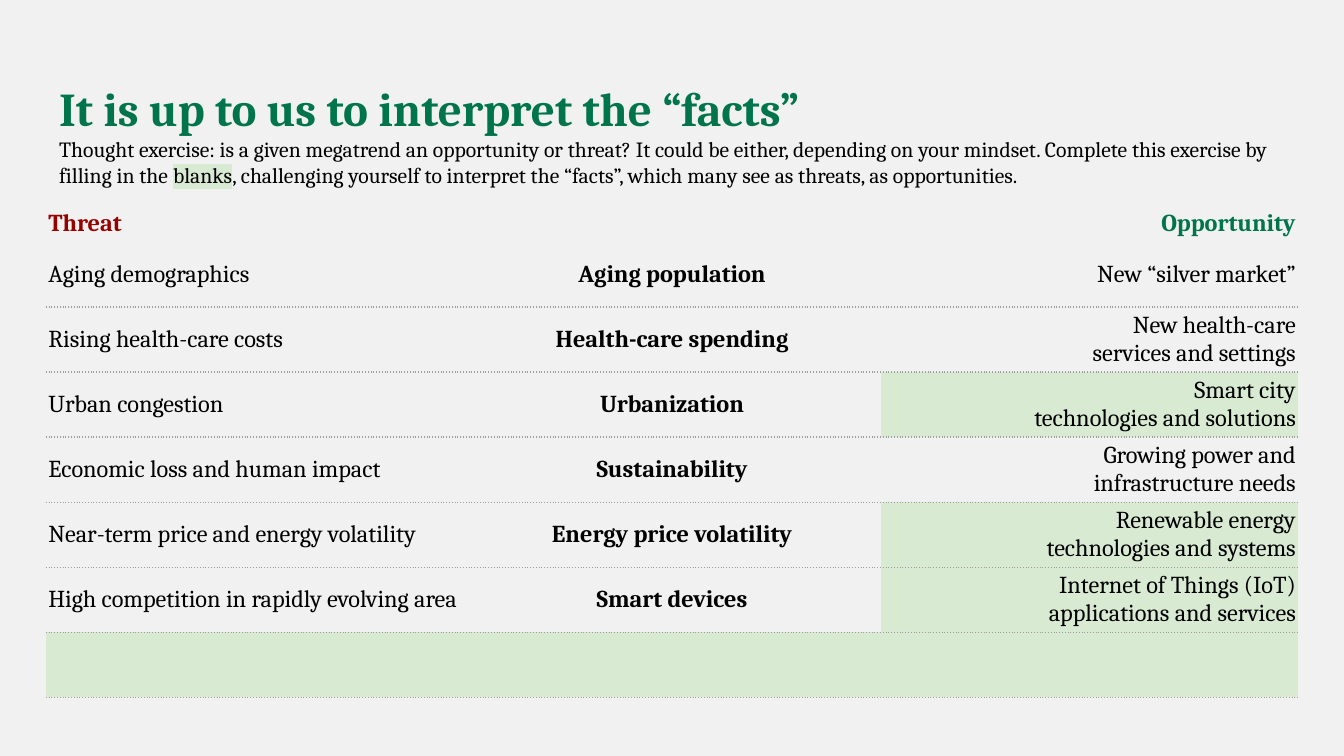
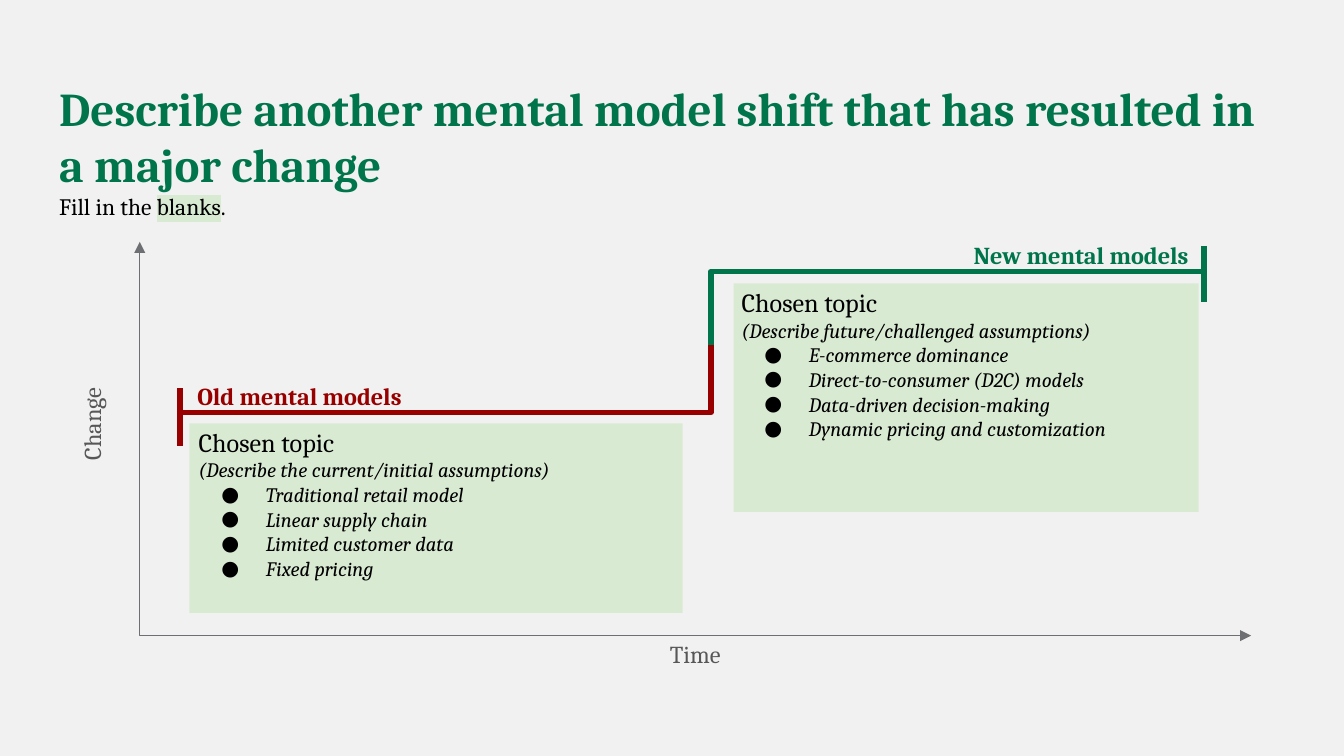
from dataclasses import dataclass

from lxml import etree
from pptx import Presentation
from pptx.dml.color import RGBColor
from pptx.enum.shapes import MSO_CONNECTOR, MSO_SHAPE
from pptx.enum.text import MSO_ANCHOR, MSO_AUTO_SIZE, PP_ALIGN
from pptx.oxml.ns import qn
from pptx.util import Inches, Pt

LEFT, CENTER, RIGHT = PP_ALIGN.LEFT, PP_ALIGN.CENTER, PP_ALIGN.RIGHT
TOP, MIDDLE = MSO_ANCHOR.TOP, MSO_ANCHOR.MIDDLE
STRAIGHT, ELBOW = MSO_CONNECTOR.STRAIGHT, MSO_CONNECTOR.ELBOW
RECTANGLE = MSO_SHAPE.RECTANGLE
NO_AUTOFIT = MSO_AUTO_SIZE.NONE
PLAIN_TABLE = "{2D5ABB26-0587-4C30-8999-92F81FD0307C}"


@dataclass(frozen=True)
class Theme:
    font: str = "Cambria"
    paper: str = "F1F1F1"
    green: str = "00754B"
    red: str = "980000"
    blank: str = "D9EAD3"
    ink: str = "000000"
    label: str = "575757"
    axis: str = "6E6F73"
    rule: str = "9E9E9E"
    title: float = 25.2
    body: int = 13
    topic: int = 14
    detail: int = 11


theme = Theme()


def style(para, size, color, bold=False, italic=False, align=LEFT):
    """Format a paragraph and all of its runs."""
    para.alignment = align
    for span in para.runs:
        span.font.name = theme.font
        span.font.size = Pt(size)
        span.font.bold = bold
        span.font.italic = italic
        span.font.color.rgb = RGBColor.from_string(color)


def child(parent, tag, **attributes):
    """Append a DrawingML element."""
    return etree.SubElement(parent, qn(tag), **attributes)


# Widescreen deck, 16 to 9
deck = Presentation()
deck.slide_width = Inches(10)
deck.slide_height = Inches(10 * 9 / 16)
paper = deck.slide_master.background.fill
paper.solid()
paper.fore_color.rgb = RGBColor.from_string(theme.paper)

# Titles, each with an instruction that highlights the word "blanks"
headings = [
    ("It is up to us to interpret the “facts”", 11.6,
     "Thought exercise: is a given megatrend an opportunity or threat? It could be "
     "either, depending on your mindset. Complete this exercise by filling in the ",
     ", challenging yourself to interpret the “facts”, which many see as threats, "
     "as opportunities."),
    ("Describe another mental model shift that has resulted in a major change", 12.6,
     "Fill in the ", "."),
]
for heading, size, before, after in headings:
    page = deck.slides.add_slide(deck.slide_layouts[5])
    title = page.shapes.title
    title.left, title.top = Inches(0.34), Inches(0.49)
    title.width, title.height = Inches(9.32), Inches(0.63)
    frame = title.text_frame
    frame.text = heading
    frame.word_wrap = True
    frame.auto_size = NO_AUTOFIT
    frame.vertical_anchor = TOP
    frame.margin_left = frame.margin_right = Inches(0.1)
    frame.margin_top = frame.margin_bottom = Inches(0.1)
    style(frame.paragraphs[0], theme.title, theme.green, bold=True)
    para = frame.add_paragraph()
    for words in (before, "blanks", after):
        para.add_run().text = words
    style(para, size, theme.ink)
    properties = para.runs[1].font._element
    highlight = child(properties, "a:highlight")
    child(highlight, "a:srgbClr", val=theme.blank)
    properties.find(qn("a:latin")).addprevious(highlight)

facts_page, shift_page = deck.slides

# Threat and opportunity table; the last field marks cells to be filled in
rows = [
    ("Threat", "", "Opportunity", ()),
    ("Aging demographics", "Aging population", "New “silver market”", ()),
    ("Rising health-care costs", "Health-care spending",
     "New health-care\nservices and settings", ()),
    ("Urban congestion", "Urbanization",
     "Smart city\ntechnologies and solutions", (2,)),
    ("Economic loss and human impact", "Sustainability",
     "Growing power and\ninfrastructure needs", ()),
    ("Near-term price and energy volatility", "Energy price volatility",
     "Renewable energy\ntechnologies and systems", (2,)),
    ("High competition in rapidly evolving area", "Smart devices",
     "Internet of Things (IoT)\napplications and services", (2,)),
    ("", "", "", (0, 1, 2)),
]
holder = facts_page.shapes.add_table(
    len(rows), 3, Inches(0.34), Inches(1.53), Inches(9.32), Inches(3.66))
table = holder.table
table.first_row = table.horz_banding = False
table._tbl.tblPr.find(qn("a:tableStyleId")).text = PLAIN_TABLE
for column in table.columns:
    column.width = Inches(9.32 / 3)
for row, (*texts, blanks) in enumerate(rows):
    table.rows[row].height = Inches((3.66 - 0.27) / (len(rows) - 1) if row else 0.27)
    for column, text in enumerate(texts):
        cell = table.cell(row, column)
        cell.vertical_anchor = MIDDLE
        cell.margin_left = cell.margin_right = Inches(0.02)
        cell.margin_top = cell.margin_bottom = Inches(0.02)
        cell.text_frame.text = text
        color = theme.ink if row else (theme.red, theme.ink, theme.green)[column]
        for para in cell.text_frame.paragraphs:
            style(para, theme.body, color, bold=row == 0 or column == 1,
                  align=(LEFT, CENTER, RIGHT)[column])
            if not text:
                child(para._p, "a:endParaRPr", sz=str(theme.body * 100))
        if row:
            border = child(cell._tc.get_or_add_tcPr(), "a:lnB", w=str(Pt(0.75)))
            child(child(border, "a:solidFill"), "a:srgbClr", val=theme.rule)
            child(border, "a:prstDash", val="dot")
        if column in blanks:
            cell.fill.solid()
            cell.fill.fore_color.rgb = RGBColor.from_string(theme.blank)
        else:
            cell.fill.background()

# Fill-in panels behind the topics
for left, top, width, height in [(1.41, 3.15, 3.67, 1.41), (5.46, 2.11, 3.46, 1.7)]:
    panel = shift_page.shapes.add_shape(
        RECTANGLE, Inches(left), Inches(top), Inches(width), Inches(height))
    panel.shadow.inherit = False
    panel.fill.solid()
    panel.fill.fore_color.rgb = RGBColor.from_string(theme.blank)
    panel.line.fill.background()

# Time and change axes as one outline with two arrowheads
outline = shift_page.shapes.build_freeform(Inches(1.04), Inches(1.8))
outline.add_line_segments(
    [(Inches(1.04), Inches(4.73)), (Inches(9.31), Inches(4.73))], close=False)
axes = outline.convert_to_shape()
axes.shadow.inherit = False
axes.fill.background()
axes.line.width = Pt(0.75)
axes.line.color.rgb = RGBColor.from_string(theme.axis)
for end in ("a:headEnd", "a:tailEnd"):
    child(axes.line._get_or_add_ln(), end, type="triangle")

# The step from old to new models, with a bar at each end
steps = [
    (STRAIGHT, 8.96, 1.83, 8.96, 2.25, theme.green),
    (STRAIGHT, 1.34, 2.89, 1.34, 3.32, theme.red),
    (ELBOW, 8.96, 2.02, 5.29, 2.63, theme.green),
    (ELBOW, 1.36, 3.07, 5.29, 2.57, theme.red),
]
for kind, x1, y1, x2, y2, color in steps:
    step = shift_page.shapes.add_connector(
        kind, Inches(x1), Inches(y1), Inches(x2), Inches(y2))
    step.line.width = Pt(3)
    step.line.color.rgb = RGBColor.from_string(color)
    child(step._element.spPr, "a:effectLst")
    if kind == ELBOW:
        guides = step._element.spPr.find(qn("a:prstGeom")).get_or_add_avLst()
        child(guides, "a:gd", name="adj1", fmla="val 100000")

# Labels of the models and the axes
labels = [
    ("New mental models", 5.36, 1.75, 3.58, 0.24, theme.green, RIGHT, True, 0),
    ("Old mental models", 1.37, 2.8, 3.83, 0.37, theme.red, LEFT, True, 0),
    ("Change", 0.27, 3.2, 0.84, 0.21, theme.label, RIGHT, False, 270),
    ("Time", 4.64, 4.77, 0.72, 0.21, theme.label, RIGHT, False, 0),
]
for text, left, top, width, height, color, align, is_model, angle in labels:
    box = shift_page.shapes.add_textbox(
        Inches(left), Inches(top), Inches(width), Inches(height))
    box.rotation = angle
    frame = box.text_frame
    frame.word_wrap = True
    frame.vertical_anchor = TOP if is_model else MIDDLE
    frame.margin_left = frame.margin_right = Inches(0.1 if is_model else 0)
    frame.margin_top = frame.margin_bottom = Inches(0.05 if is_model else 0)
    frame.text = text
    frame.paragraphs[0].line_spacing = 0.96
    style(frame.paragraphs[0], theme.body, color, bold=is_model, align=align)

# Topics with bulleted assumptions
topics = [
    (1.38, 3.07, 1.55, "(Describe the current/initial assumptions)",
     ["Traditional retail model", "Linear supply chain", "Limited customer data",
      "Fixed pricing"]),
    (5.42, 2.03, 1.36, "(Describe future/challenged assumptions)",
     ["E-commerce dominance", "Direct-to-consumer (D2C) models",
      "Data-driven decision-making", "Dynamic pricing and customization"]),
]
for left, top, height, prompt, assumptions in topics:
    box = shift_page.shapes.add_textbox(
        Inches(left), Inches(top), Inches(3.5), Inches(height))
    frame = box.text_frame
    frame.word_wrap = True
    frame.margin_left = frame.margin_right = Inches(0.1)
    frame.margin_top = frame.margin_bottom = Inches(0.1)
    frame.text = "\n".join(["Chosen topic", prompt, *assumptions])
    lead, *details = frame.paragraphs
    style(lead, theme.topic, theme.ink)
    for para in details:
        style(para, theme.detail, theme.ink, italic=True)
    for para in details[1:]:
        properties = para._p.get_or_add_pPr()
        properties.set("marL", str(Inches(0.5)))
        properties.set("indent", str(Inches(-0.33)))
        child(child(properties, "a:buClr"), "a:srgbClr", val=theme.ink)
        child(properties, "a:buSzPts", val=str(theme.detail * 100))
        child(properties, "a:buFont", typeface=theme.font)
        child(properties, "a:buChar", char="●")

deck.save("out.pptx")
